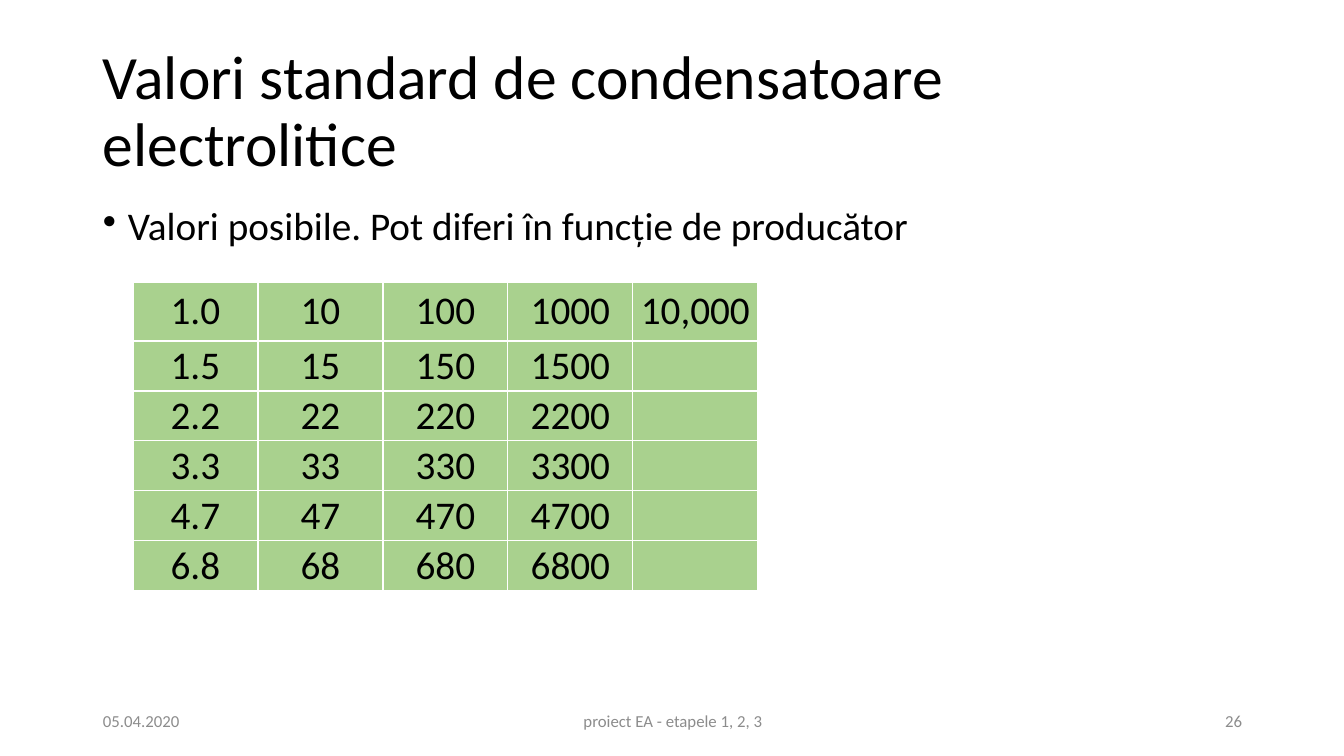
import pptx
import pptx.util
import pptx.dml.color
import pptx.enum.text
import pptx.oxml
import pptx.oxml.ns
import lxml.etree

ALIGN = pptx.enum.text.PP_ALIGN
ANCHOR = pptx.enum.text.MSO_ANCHOR
COLORS = {"text": "000000", "footer": "8C8C8C", "cell": "A9D18E", "border": "FFFFFF"}
EMU_PER_PX = 914400 / 100.8


def px(length):
    return pptx.util.Emu(round(length * EMU_PER_PX))


def rgb(name):
    return pptx.dml.color.RGBColor.from_string(COLORS[name])


def assign(target, values):
    for attribute, value in values.items():
        setattr(target, attribute, value)


class CapacitorSlide:
    font = "Calibri"
    border_width = pptx.util.Pt(1)

    def __init__(self, deck):
        self.slide = deck.slides.add_slide(deck.slide_layouts[6])

    def style(self, paragraph, size, color, **layout):
        assign(paragraph, layout)
        assign(paragraph.font, {"name": self.font, "size": pptx.util.Pt(size)})
        paragraph.font.color.rgb = rgb(color)

    def text(self, words, box, size, color="text", anchor=ANCHOR.MIDDLE, **layout):
        frame = self.slide.shapes.add_textbox(*map(px, box)).text_frame
        assign(frame, {"word_wrap": True, "vertical_anchor": anchor})
        paragraph = frame.paragraphs[0]
        paragraph.add_run().text = words
        self.style(paragraph, size, color, **layout)
        return paragraph

    def bullet(self, words, box, size, indent, **layout):
        properties = self.text(words, box, size, anchor=ANCHOR.TOP, **layout)._p.get_or_add_pPr()
        properties.set("marL", str(px(indent)))
        properties.set("indent", str(-px(indent)))
        mark = pptx.oxml.parse_xml(
            f'<a:buChar {pptx.oxml.ns.nsdecls("a")} char="•"/>')
        properties.insert_element_before(mark, "a:tabLst", "a:defRPr", "a:extLst")

    def border(self, cell):
        properties = cell._tc.get_or_add_tcPr()
        for position, side in enumerate(("lnL", "lnR", "lnT", "lnB")):
            properties.insert(position, pptx.oxml.parse_xml(
                f'<a:{side} {pptx.oxml.ns.nsdecls("a")} w="{self.border_width}">'
                f'<a:solidFill><a:srgbClr val="{COLORS["border"]}"/></a:solidFill></a:{side}>'))

    def table(self, values, left, top, column_width, row_heights, size):
        columns = len(values[0])
        box = (left, top, column_width * columns, sum(row_heights))
        grid = self.slide.shapes.add_table(len(values), columns, *map(px, box)).table
        assign(grid, {"first_row": False, "horz_banding": False})
        for column in grid.columns:
            column.width = px(column_width)
        for row, height, entries in zip(grid.rows, row_heights, values):
            row.height = px(height)
            for cell, entry in zip(row.cells, entries):
                margins = dict.fromkeys(
                    ("margin_left", "margin_right", "margin_top", "margin_bottom"), px(1))
                assign(cell, {"text": entry, "vertical_anchor": ANCHOR.MIDDLE, **margins})
                self.style(cell.text_frame.paragraphs[0], size, "text", alignment=ALIGN.CENTER)
                cell.fill.solid()
                cell.fill.fore_color.rgb = rgb("cell")
                self.border(cell)


def main():
    deck = pptx.Presentation()
    assign(deck, {"slide_width": px(1344), "slide_height": px(756)})
    page = CapacitorSlide(deck)

    page.text("Valori standard de condensatoare electrolitice", (93, 40, 1159, 146), 44,
              line_spacing=0.9)
    page.bullet("Valori posibile. Pot diferi în funcție de producător", (93, 202, 1159, 480), 28,
                indent=25, line_spacing=0.9, space_before=pptx.util.Pt(10))

    footers = (
        ("05.04.2020", 93, 302, ALIGN.LEFT),
        ("proiect EA - etapele 1, 2, 3", 446, 454, ALIGN.CENTER),
        ("26", 950, 302, ALIGN.RIGHT),
    )
    for words, left, width, alignment in footers:
        page.text(words, (left, 701, width, 40), 12, "footer", alignment=alignment)

    capacitances = [
        [f"{tenths / 10:.1f}"] + [str(tenths * decade) for decade in (1, 10, 100)] + [""]
        for tenths in (10, 15, 22, 33, 47, 68)
    ]
    capacitances[0][-1] = "10,000"
    page.table(capacitances, 133, 282, 125, [59] + [50] * 5, 28)

    deck.save("out.pptx")


if __name__ == "__main__":
    main()
